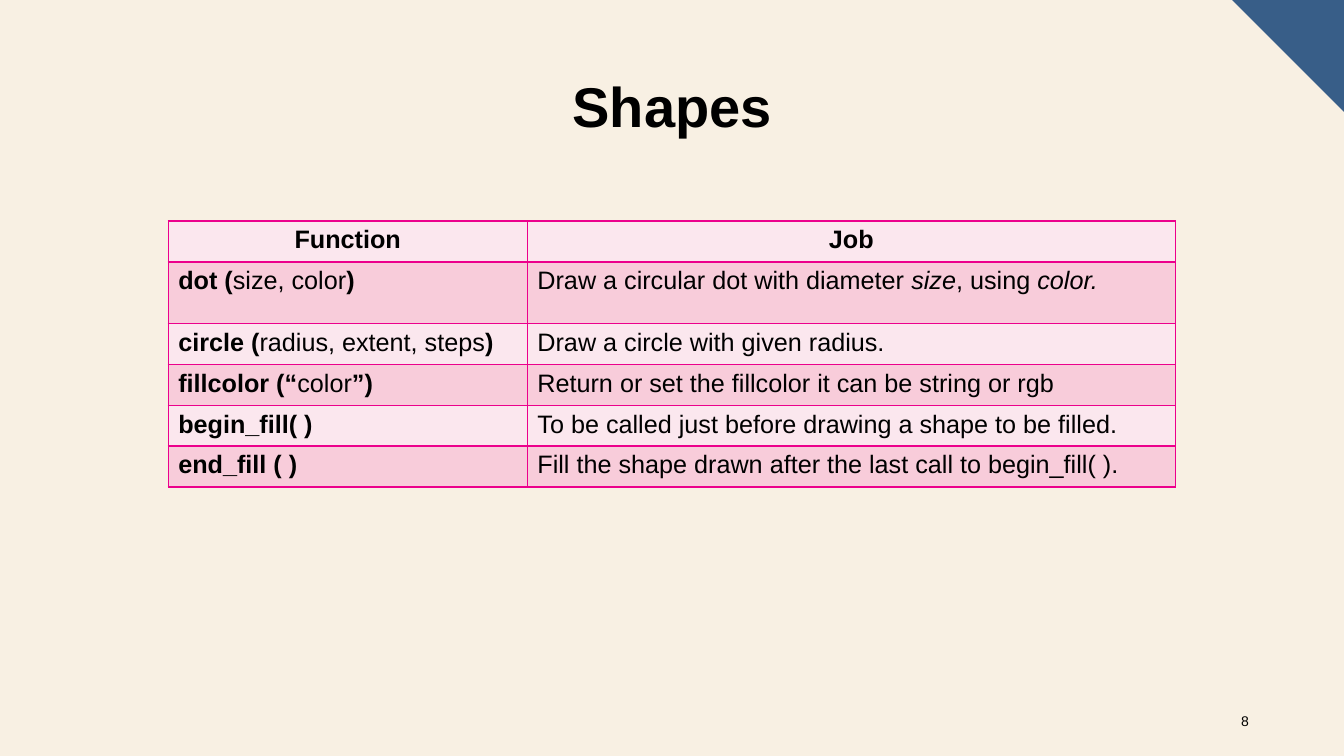
from lxml import etree
from pptx import Presentation
from pptx.dml.color import RGBColor
from pptx.enum.text import MSO_ANCHOR, PP_ALIGN
from pptx.oxml.ns import qn
from pptx.util import Cm, Pt

CENTER, RIGHT, JUSTIFY = PP_ALIGN.CENTER, PP_ALIGN.RIGHT, PP_ALIGN.JUSTIFY
TOP, MIDDLE = MSO_ANCHOR.TOP, MSO_ANCHOR.MIDDLE

CREAM = RGBColor(0xF8, 0xF0, 0xE3)
BLUE = RGBColor(0x38, 0x5E, 0x88)
BLACK = RGBColor(0, 0, 0)
MAGENTA = RGBColor(0xEC, 0x00, 0x8C)
LIGHT_PINK = RGBColor(0xFB, 0xE7, 0xEE)
PINK = RGBColor(0xF8, 0xCC, 0xDA)

FONT = "Arial"
WIDTH, HEIGHT = Cm(33.87), Cm(19.05)
CORNER = Cm(2.82)
COLUMN_WIDTHS = (Cm(9.05), Cm(16.33))
ROW_HEIGHT, DOT_ROW_HEIGHT = Cm(1.03), Cm(1.55)

# Each cell is a list of (text, style) runs; style holds "b" and/or "i".
ROWS = [
    ([("Function", "b")], [("Job", "b")]),
    ([("dot (", "b"), ("size, color", ""), (")", "b")],
     [("Draw a circular dot with diameter ", ""), ("size", "i"),
      (", using ", ""), ("color.", "i")]),
    ([("circle (", "b"), ("radius, extent, steps", ""), (")", "b")],
     [("Draw a circle with given radius.", "")]),
    ([("fillcolor (“", "b"), ("color", ""), ("”)", "b")],
     [("Return or set the fillcolor it can be string or rgb", "")]),
    ([("begin_fill( )", "b")],
     [("To be called just before drawing a shape to be filled.", "")]),
    ([("end_fill ( )", "b")],
     [("Fill the shape drawn after the last call to begin_fill( ).", "")]),
]


def write(tf, runs, size=18, align=JUSTIFY, color=BLACK):
    """Fill the first paragraph of a text frame with styled runs."""
    p = tf.paragraphs[0]
    p.alignment = align
    for text, style in runs:
        r = p.add_run()
        r.text = text
        r.font.name = FONT
        r.font.size = Pt(size)
        r.font.bold = "b" in style
        r.font.italic = "i" in style
        r.font.color.rgb = color


def add_text(s, left, top, width, height, runs, anchor=TOP, **text_format):
    tf = s.shapes.add_textbox(left, top, width, height).text_frame
    tf.word_wrap = True
    tf.vertical_anchor = anchor
    write(tf, runs, **text_format)


def add_corner(s):
    builder = s.shapes.build_freeform(WIDTH - CORNER, 0)
    builder.add_line_segments([(WIDTH, 0), (WIDTH, CORNER)])
    sp = builder.convert_to_shape()
    sp.shadow.inherit = False
    sp.fill.solid()
    sp.fill.fore_color.rgb = BLUE
    sp.line.fill.background()


def set_borders(cell, color, width):
    tc_pr = cell._tc.get_or_add_tcPr()
    for side in ("lnL", "lnR", "lnT", "lnB"):
        ln = etree.SubElement(tc_pr, qn(f"a:{side}"), w=str(width))
        fill = etree.SubElement(ln, qn("a:solidFill"))
        etree.SubElement(fill, qn("a:srgbClr"), val=str(color))


def add_function_table(s, left, top):
    height = ROW_HEIGHT * (len(ROWS) - 1) + DOT_ROW_HEIGHT
    table = s.shapes.add_table(len(ROWS), len(COLUMN_WIDTHS), left, top,
                               sum(COLUMN_WIDTHS), height).table
    for column, width in zip(table.columns, COLUMN_WIDTHS):
        column.width = width
    for i, row in enumerate(ROWS):
        table.rows[i].height = DOT_ROW_HEIGHT if i == 1 else ROW_HEIGHT
        for j, runs in enumerate(row):
            cell = table.cell(i, j)
            set_borders(cell, MAGENTA, Pt(1))
            cell.fill.solid()
            cell.fill.fore_color.rgb = PINK if i % 2 else LIGHT_PINK
            write(cell.text_frame, runs, align=JUSTIFY if i else CENTER)


def main():
    prs = Presentation()
    prs.slide_width, prs.slide_height = WIDTH, HEIGHT
    s = prs.slides.add_slide(prs.slide_layouts[6])
    s.background.fill.solid()
    s.background.fill.fore_color.rgb = CREAM

    add_corner(s)
    add_text(s, Cm(30.45), Cm(17.65), Cm(1.27), Cm(1.02), [("8", "")],
             anchor=MIDDLE, size=10, align=RIGHT)
    add_text(s, Cm(10.74), Cm(1.68), Cm(12.4), Cm(1.96), [("Shapes", "b")],
             size=40, align=CENTER)
    add_function_table(s, Cm(4.24), Cm(5.57))
    prs.save("out.pptx")


if __name__ == "__main__":
    main()
